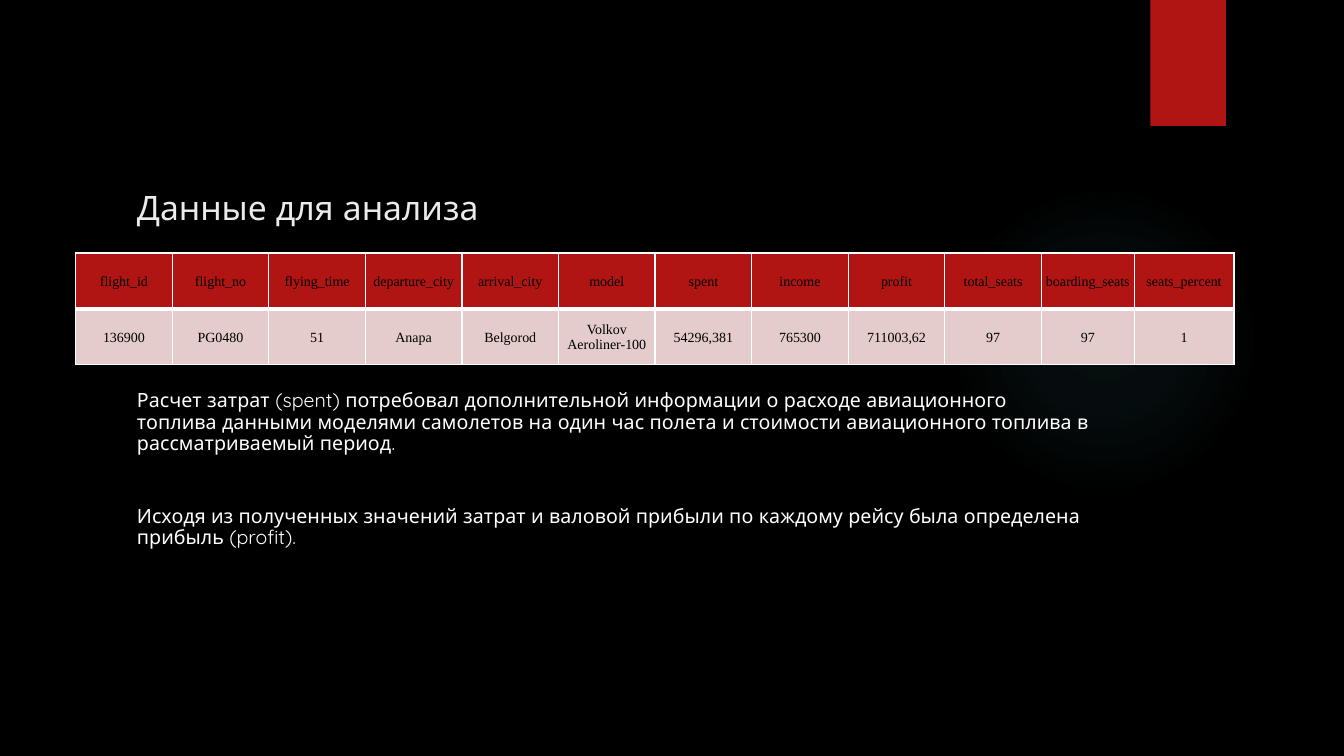
import dataclasses

import lxml.etree
import pptx
import pptx.dml.color
import pptx.enum.shapes
import pptx.enum.text
import pptx.oxml.ns
import pptx.util

Inches = pptx.util.Inches
Pt = pptx.util.Pt
ANCHOR = pptx.enum.text.MSO_ANCHOR
ALIGN = pptx.enum.text.PP_ALIGN
SHAPE = pptx.enum.shapes.MSO_SHAPE


@dataclasses.dataclass(frozen=True)
class Theme:
    background: str = "000000"
    accent: str = "B01513"
    glow: str = "50B9C1"
    title: str = "EBEBEB"
    body: str = "FFFFFF"
    cell_text: str = "000000"
    cell_fill: str = "E4CCCC"
    border: str = "FFFFFF"
    font: str = "Quicksand"
    table_font: str = "Times New Roman"
    title_size: int = 24
    body_size: int = 14
    table_size: int = 10


THEME = Theme()
TITLE = "Данные для анализа"
FLIGHT = {
    "flight_id": "136900",
    "flight_no": "PG0480",
    "flying_time": "51",
    "departure_city": "Anapa",
    "arrival_city": "Belgorod",
    "model": "Volkov Aeroliner-100",
    "spent": "54296,381",
    "income": "765300",
    "profit": "711003,62",
    "total_seats": "97",
    "boarding_seats": "97",
    "seats_percent": "1",
}
NOTES = [
    "Расчет затрат (spent) потребовал дополнительной информации о расходе "
    "авиационного топлива данными моделями самолетов на один час полета и "
    "стоимости авиационного топлива в рассматриваемый период.",
    "Исходя из полученных значений затрат и валовой прибыли по каждому рейсу "
    "была определена прибыль (profit).",
]


def rgb(value):
    return pptx.dml.color.RGBColor.from_string(value)


def apply(target, settings):
    for name, value in settings.items():
        setattr(target, name, value)


def add_child(parent, tag, **attributes):
    return lxml.etree.SubElement(parent, pptx.oxml.ns.qn(tag), attributes)


def write(para, text, font, size, color):
    span = para.add_run()
    span.text = text
    apply(span.font, {"name": font, "size": Pt(size)})
    span.font.color.rgb = rgb(color)


def add_plain_shape(page, kind, box):
    shape = page.shapes.add_shape(kind, *map(Inches, box))
    shape.shadow.inherit = False
    shape.line.fill.background()
    return shape


def add_glow(page, box):
    """Faint round light that fades out towards its edge."""
    glow = add_plain_shape(page, SHAPE.OVAL, box)
    glow.fill.gradient()
    gradient = glow.fill._xPr.find(pptx.oxml.ns.qn("a:gradFill"))
    for child in list(gradient):
        gradient.remove(child)
    stops = add_child(gradient, "a:gsLst")
    for position, opacity in ((0, 7), (36, 6), (69, 0)):
        stop = add_child(stops, "a:gs", pos=str(position * 1000))
        color = add_child(stop, "a:srgbClr", val=THEME.glow)
        add_child(color, "a:alpha", val=str(opacity * 1000))
    circle = add_child(gradient, "a:path", path="circle")
    add_child(circle, "a:fillToRect", l="50000", t="50000", r="50000", b="50000")


def add_ribbon(page, box):
    ribbon = add_plain_shape(page, SHAPE.RECTANGLE, box)
    ribbon.fill.solid()
    ribbon.fill.fore_color.rgb = rgb(THEME.accent)


def add_text_frame(page, box, anchor):
    frame = page.shapes.add_textbox(*map(Inches, box)).text_frame
    apply(frame, {"word_wrap": True, "vertical_anchor": anchor})
    return frame


def add_title(page, box):
    frame = add_text_frame(page, box, ANCHOR.BOTTOM)
    write(frame.paragraphs[0], TITLE, THEME.font, THEME.title_size, THEME.title)


def add_notes(page, box):
    frame = add_text_frame(page, box, ANCHOR.TOP)
    for index, note in enumerate(NOTES):
        para = frame.add_paragraph() if index else frame.paragraphs[0]
        apply(para, {"line_spacing": 0.9, "space_before": Pt(37 if index else 0)})
        write(para, note, THEME.font, THEME.body_size, THEME.body)


def style_cell(cell, text, fill, border_widths):
    apply(cell, {
        "vertical_anchor": ANCHOR.MIDDLE,
        "margin_left": Inches(0.01),
        "margin_top": Inches(0.01),
        "margin_right": Inches(0.01),
        "margin_bottom": 0,
    })
    properties = cell._tc.get_or_add_tcPr()
    for side, width in border_widths.items():
        line = add_child(properties, f"a:ln{side}", w=str(Pt(width)))
        add_child(add_child(line, "a:solidFill"), "a:srgbClr", val=THEME.border)
    cell.fill.solid()
    cell.fill.fore_color.rgb = rgb(fill)
    para = cell.text_frame.paragraphs[0]
    para.alignment = ALIGN.CENTER
    write(para, text, THEME.table_font, THEME.table_size, THEME.cell_text)


def add_flight_table(page, box):
    table = page.shapes.add_table(2, len(FLIGHT), *map(Inches, box)).table
    special_widths = {"boarding_seats": 0.92, "seats_percent": 0.99}
    shared = box[2] - sum(special_widths.values())
    usual_width = shared / (len(FLIGHT) - len(special_widths))
    for column, name in zip(table.columns, FLIGHT):
        column.width = Inches(special_widths.get(name, usual_width))
    rows = (
        (FLIGHT.keys(), THEME.accent, {"L": 1, "R": 1, "T": 1, "B": 3}),
        (FLIGHT.values(), THEME.cell_fill, {"L": 1, "R": 1, "T": 3, "B": 1}),
    )
    for row, (texts, fill, border_widths) in zip(table.rows, rows):
        row.height = Inches(box[3] / len(rows))
        for cell, text in zip(row.cells, texts):
            style_cell(cell, text, fill, border_widths)


def build_data_slide(deck):
    page = deck.slides.add_slide(deck.slide_layouts[6])
    page.background.fill.solid()
    page.background.fill.fore_color.rgb = rgb(THEME.background)
    text_left, text_width = 1.26, 9.65
    add_glow(page, (9.41, 1.83, 3.08, 3.08))
    add_ribbon(page, (11.41, 0, 0.75, 1.25))
    add_title(page, (text_left, 1.58, text_width, 0.72))
    add_flight_table(page, (0.75, 2.51, 11.49, 1.11))
    add_notes(page, (text_left, 3.83, text_width, 3.23))


def main():
    deck = pptx.Presentation()
    apply(deck, {"slide_width": Inches(13.33), "slide_height": Inches(7.5)})
    build_data_slide(deck)
    deck.save("out.pptx")


if __name__ == "__main__":
    main()
